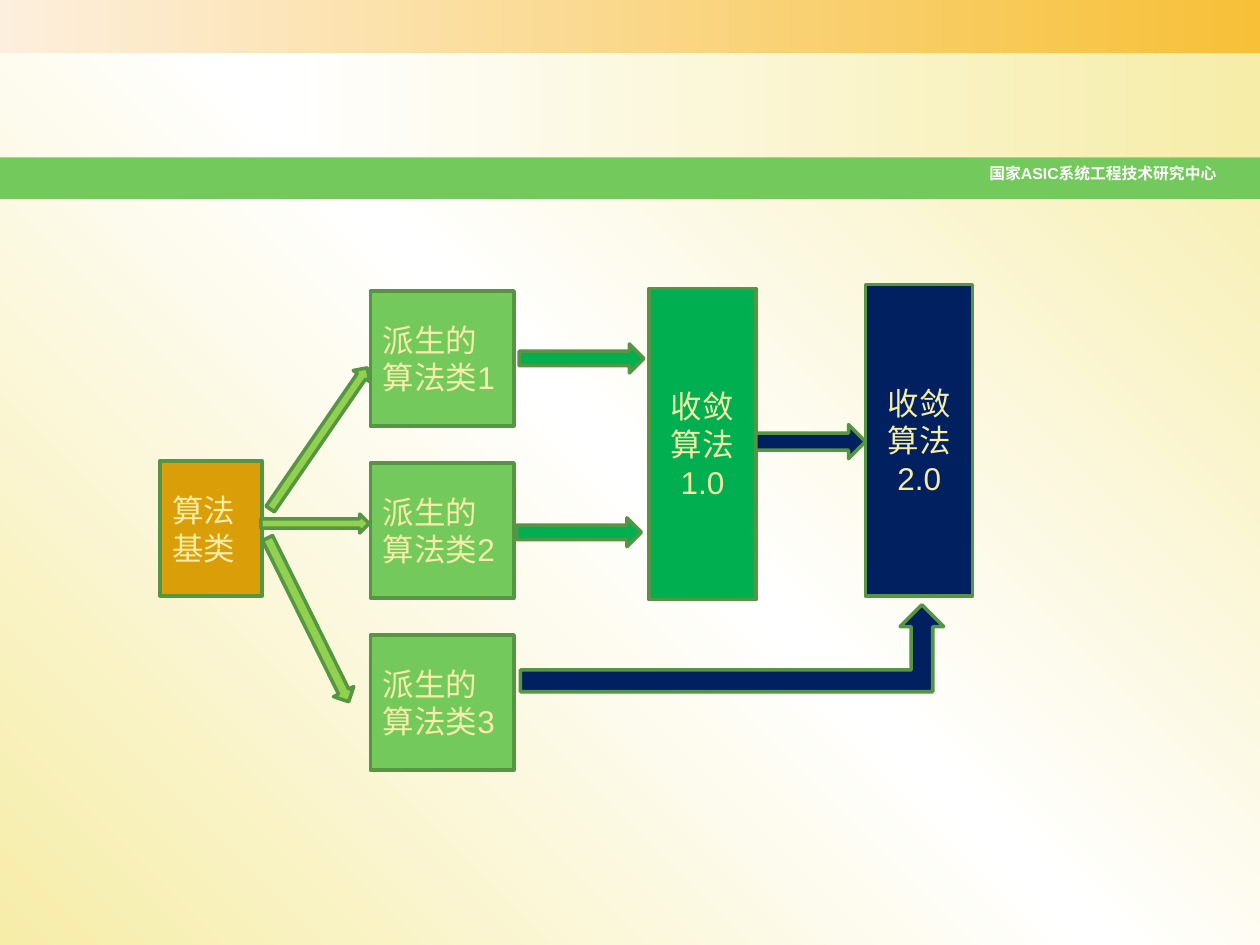
from copy import deepcopy

from pptx import Presentation
from pptx.dml.color import RGBColor
from pptx.enum.shapes import MSO_SHAPE as SHAPE
from pptx.enum.text import MSO_ANCHOR as ANCHOR, PP_ALIGN as ALIGN
from pptx.util import Inches, Pt

COLORS = {
    "cream": "F6EDA8", "white": "FFFFFF", "peach": "FDEFDD", "amber": "F7C037",
    "green": "73C95B", "outline": "559543", "gold": "DA9E09",
    "emerald": "00B050", "lime": "92D050", "navy": "002060",
}
FONT = "Arial"
HEADER = "国家ASIC系统工程技术研究中心"

# Bands across the top: left, top, width, height, colours from left to right
BANDS = [
    (0, 0, 10, 0.42, ["peach", "amber"]),
    (2.17, 0.42, 7.83, 0.83, ["white", "cream"]),
    (0, 1.25, 10, 0.33, ["green"]),
]

# Boxes: text, left, top, width, height, fill, alignment
DERIVED = ["派生的算法类1", "派生的算法类2", "派生的算法类3"]
DERIVED_TOP, DERIVED_STEP = 2.31, 1.365
BOXES = [("算法基类", 1.27, 3.66, 0.81, 1.07, "gold", ALIGN.LEFT)]
BOXES += [
    (text, 2.94, DERIVED_TOP + i * DERIVED_STEP, 1.14, 1.07, "green", ALIGN.LEFT)
    for i, text in enumerate(DERIVED)
]
BOXES += [
    ("收敛算法1.0", 5.15, 2.29, 0.85, 2.47, "emerald", ALIGN.CENTER),
    ("收敛算法2.0", 6.87, 2.26, 0.85, 2.47, "navy", ALIGN.CENTER),
]

# Block arrows: shape, left, top, width, height, fill, rotation
RIGHT = SHAPE.RIGHT_ARROW
ARROWS = [
    (RIGHT, 4.12, 2.73, 0.99, 0.23, "emerald", 0),
    (RIGHT, 4.1, 4.11, 0.99, 0.23, "emerald", 0),
    (RIGHT, 1.85, 3.4, 1.36, 0.16, "lime", 304.5),
    (RIGHT, 2.07, 4.08, 0.86, 0.15, "lime", 0),
    (RIGHT, 1.72, 4.83, 1.45, 0.18, "lime", 63.6),
    (RIGHT, 6, 3.37, 0.87, 0.27, "navy", 0),
    (SHAPE.BENT_UP_ARROW, 4.13, 4.8, 3.36, 0.69, "navy", 0),
]


def rgb(name):
    return RGBColor.from_string(COLORS[name])


def set_fill(fill, names, angle=0):
    """Solid fill for one colour, evenly spaced gradient for more."""
    if len(names) == 1:
        fill.solid()
        fill.fore_color.rgb = rgb(names[0])
        return
    fill.gradient()
    fill.gradient_angle = angle
    stops = fill.gradient_stops
    stop_list = fill._fill._gradFill.gsLst
    while len(stop_list) < len(names):
        stop_list.append(deepcopy(stop_list[-1]))
    stops = fill.gradient_stops
    for i, name in enumerate(names):
        stops[i].color.rgb = rgb(name)
        stops[i].position = i / (len(names) - 1)


def add_block(s, kind, box, names, outlined=True):
    sp = s.shapes.add_shape(kind, *[Inches(v) for v in box])
    sp.shadow.inherit = False
    set_fill(sp.fill, names)
    if outlined:
        sp.line.color.rgb = rgb("outline")
        sp.line.width = Pt(2)
    else:
        sp.line.fill.background()
    return sp


def set_text(sp, text, size, color, align, anchor, bold=False):
    tf = sp.text_frame
    tf.word_wrap = True
    tf.vertical_anchor = anchor
    tf.text = text
    p = tf.paragraphs[0]
    p.alignment = align
    font = p.runs[0].font
    font.name, font.size, font.bold = FONT, Pt(size), bold
    font.color.rgb = rgb(color)


def main():
    prs = Presentation()
    prs.slide_width, prs.slide_height = Inches(10), Inches(7.5)
    s = prs.slides.add_slide(prs.slide_layouts[6])
    set_fill(s.background.fill, ["cream", "white", "cream"], 45)

    # Top bands and header
    for *box, names in BANDS:
        add_block(s, SHAPE.RECTANGLE, box, names, outlined=False)
    header = s.shapes.add_textbox(Inches(0.5), Inches(1.25), Inches(9.25), Inches(0.26))
    set_text(header, HEADER, 9, "white", ALIGN.RIGHT, ANCHOR.TOP, bold=True)

    # Algorithm classes
    for text, *box, color, align in BOXES:
        sp = add_block(s, SHAPE.RECTANGLE, box, [color])
        set_text(sp, text, 18, "cream", align, ANCHOR.MIDDLE)

    # Flow between them
    for kind, *box, color, rotation in ARROWS:
        add_block(s, kind, box, [color]).rotation = rotation

    prs.save("out.pptx")


if __name__ == "__main__":
    main()
